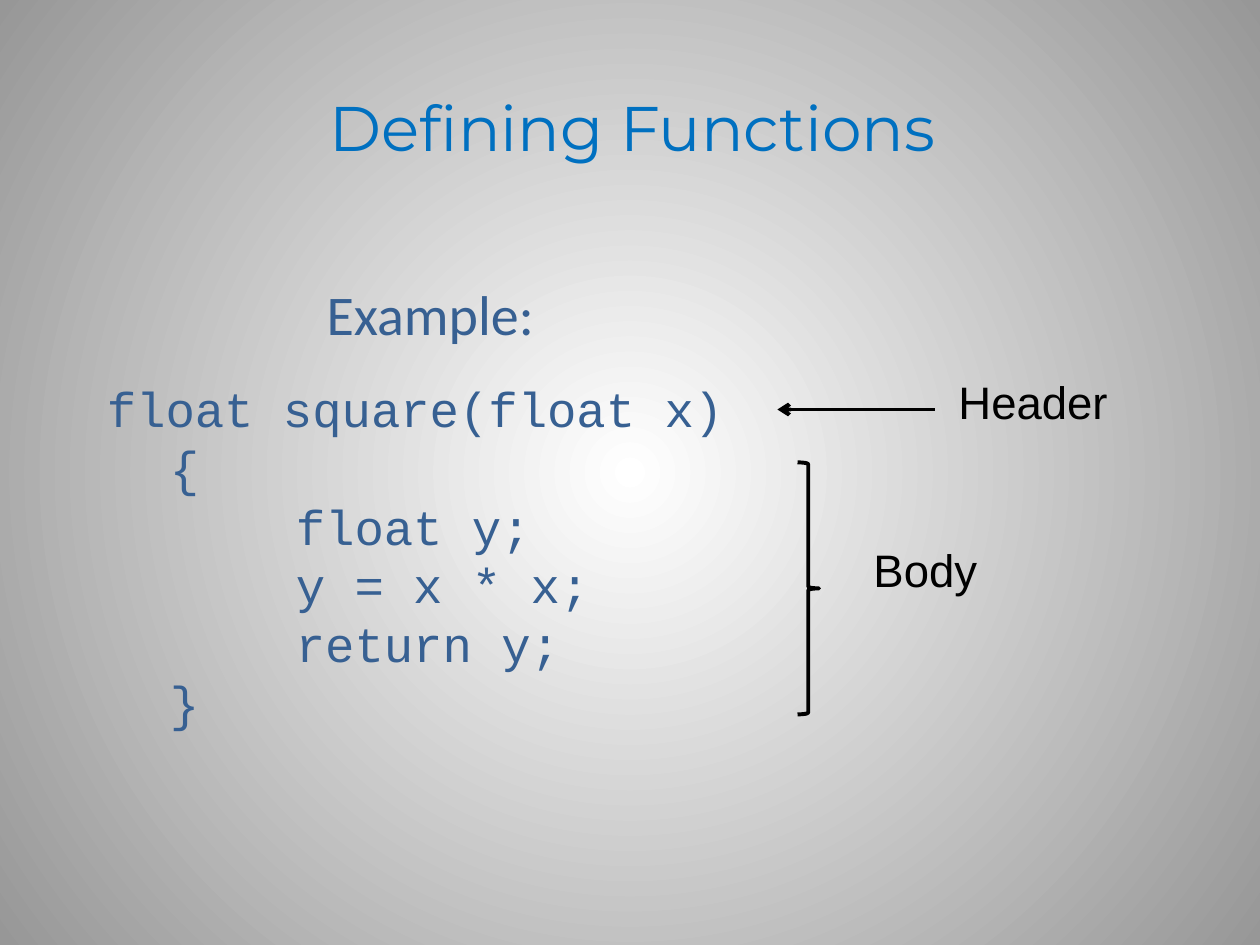
"""Build the Defining Functions slide with its annotated code example."""
from lxml.etree import SubElement
from pptx import Presentation
from pptx.dml.color import RGBColor
from pptx.enum.shapes import MSO_CONNECTOR, MSO_SHAPE
from pptx.enum.text import MSO_ANCHOR, MSO_AUTO_SIZE, PP_ALIGN
from pptx.oxml.ns import qn
from pptx.util import Inches, Pt


def color(value):
    return RGBColor.from_string(value)


def add_text(slide, box, lines, text_color, wrap=True):
    shape = slide.shapes.add_textbox(*(Inches(length) for length in box))
    frame = shape.text_frame
    frame.word_wrap = wrap
    for index, (text, font_format, paragraph_format) in enumerate(lines):
        paragraph = frame.paragraphs[0] if index == 0 else frame.add_paragraph()
        paragraph.add_run().text = text
        for name, value in paragraph_format.items():
            setattr(paragraph, name, value)
        font = paragraph.runs[0].font
        for name, value in font_format.items():
            setattr(font, name, value)
        font.color.rgb = color(text_color)
    return shape


presentation = Presentation()
presentation.slide_width = Inches(10)
presentation.slide_height = Inches(7.5)
slide = presentation.slides.add_slide(presentation.slide_layouts[6])

background = slide.background.fill
background.gradient()
for stop, value, position in zip(background.gradient_stops, ("FFFFFF", "979797"), (0, 1)):
    stop.color.rgb = color(value)
    stop.position = position
gradient = slide.element.find(".//" + qn("a:gradFill"))
gradient.remove(gradient.find(qn("a:lin")))
circle = SubElement(gradient, qn("a:path"), {"path": "circle"})
SubElement(circle, qn("a:fillToRect"), dict.fromkeys("ltrb", "50000"))

centered = {"alignment": PP_ALIGN.CENTER}
title_font = {"name": "Montserrat", "size": Pt(36)}
example_font = {"name": "Calibri", "size": Pt(32)}
code_font = {"name": "Courier New", "size": Pt(28)}
label_font = {"name": "Arial", "size": Pt(26)}

title = add_text(slide, (0.53, 0.35, 8.98, 1.31), [("Defining Functions", title_font, centered)], "0070C0")
title.text_frame.vertical_anchor = MSO_ANCHOR.MIDDLE

code_lines = ["{", "float y;", "y = x * x;", "return y;", "}"]
example_lines = [
    ("Example:", example_font, centered),
    ("float square(float x)", code_font, {"space_before": Pt(18)}),
    *((line, code_font, {}) for line in code_lines),
]
example = add_text(slide, (0.75, 2.17, 5.33, 3.92), example_lines, "376092")
indents = [(0.5, -0.5)] * 2 + [(0.5, 0)] + [(1.5, 0)] * 3 + [(0.5, 0)]
for paragraph, (margin, indent) in zip(example.text_frame.paragraphs, indents):
    properties = paragraph._p.get_or_add_pPr()
    properties.set("marL", str(Inches(margin)))
    properties.set("indent", str(Inches(indent)))

for text, box in (("Header", (7.5, 2.92, 1.4, 0.54)), ("Body", (6.83, 4.25, 1.03, 0.54))):
    label = add_text(slide, box, [(text, label_font, centered)], "000000", wrap=False)
    label.text_frame.auto_size = MSO_AUTO_SIZE.SHAPE_TO_FIT_TEXT

arrow = slide.shapes.add_connector(
    MSO_CONNECTOR.STRAIGHT, Inches(7.42), Inches(3.25), Inches(6.17), Inches(3.25)
)
brace = slide.shapes.add_shape(
    MSO_SHAPE.RIGHT_BRACE, Inches(6.33), Inches(3.67), Inches(0.17), Inches(2)
)
brace.shadow.inherit = False
brace.fill.background()
for shape in (arrow, brace):
    shape.line.color.rgb = color("000000")
    shape.line.width = Pt(2.25)
SubElement(arrow.line._get_or_add_ln(), qn("a:tailEnd"), {"type": "arrow"})
SubElement(arrow._element.spPr, qn("a:effectLst"))

presentation.save("out.pptx")
